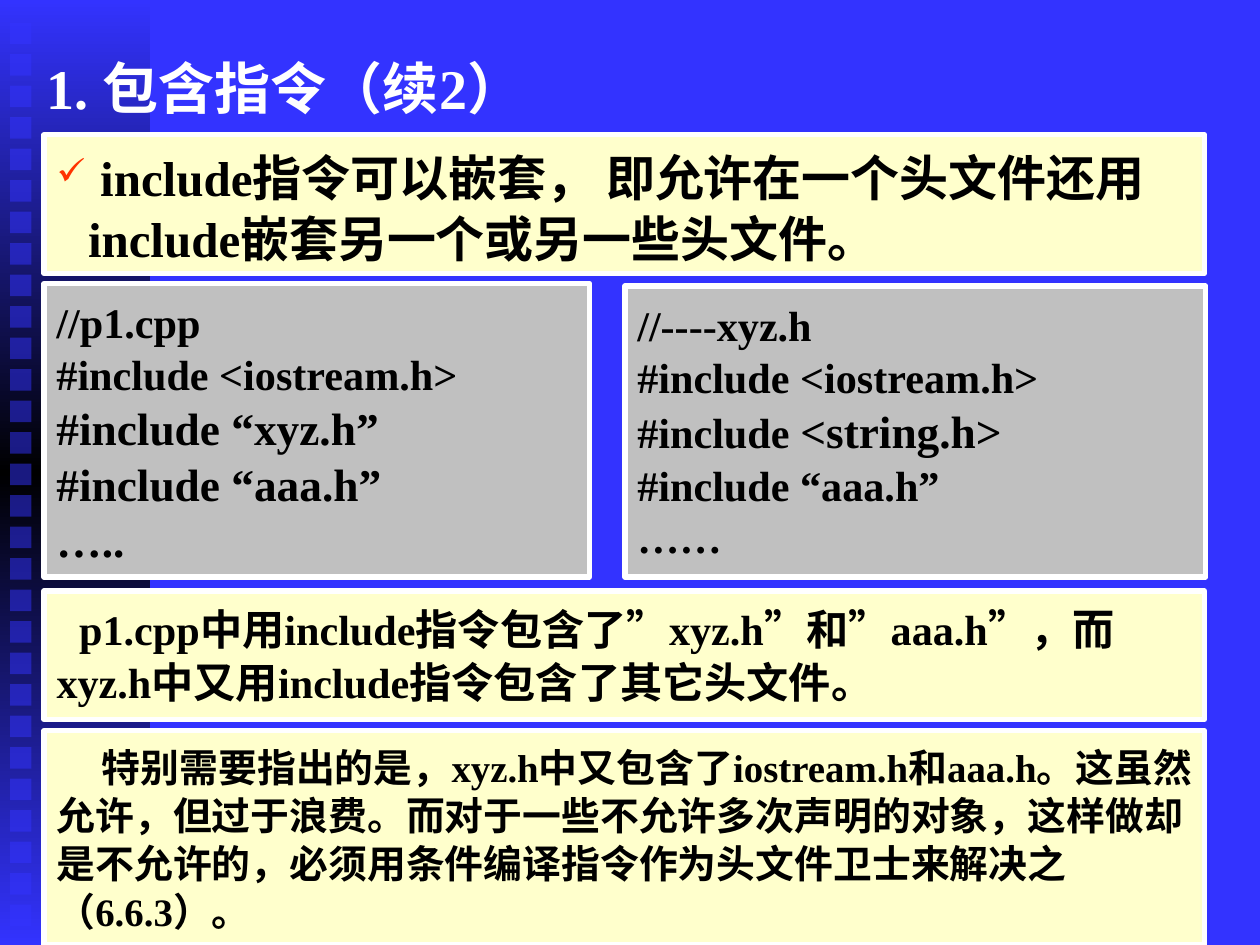
from lxml.etree import SubElement
from pptx import Presentation
from pptx.dml.color import RGBColor
from pptx.enum.shapes import MSO_SHAPE
from pptx.enum.text import MSO_ANCHOR, PP_ALIGN
from pptx.oxml.ns import qn
from pptx.util import Inches, Pt

COLORS = {
    "blue": "3333FF",
    "black": "000000",
    "white": "FFFFFF",
    "cream": "FFFFCC",
    "grey": "C0C0C0",
    "check": "FF3300",
}
FONT = "Times New Roman"
LEFT, WIDTH = 0.35, 9.21
SMALL, LARGE = 24.1, 25.9


def rgb(name):
    return RGBColor.from_string(COLORS[name])


def add_color(parent, name, alpha=None):
    clr = SubElement(parent, qn("a:srgbClr"), val=COLORS[name])
    if alpha is not None:
        SubElement(clr, qn("a:alpha"), val=str(alpha * 1000))


def format_run(r, size, color="black"):
    r.font.name = FONT
    r.font.size = Pt(size)
    r.font.bold = True
    r.font.color.rgb = rgb(color)


def add_rect(s, box, color):
    sp = s.shapes.add_shape(MSO_SHAPE.RECTANGLE, *map(Inches, box))
    sp.shadow.inherit = False
    sp.fill.solid()
    sp.fill.fore_color.rgb = rgb(color)
    sp.line.fill.background()
    return sp


def add_side_band(s, box):
    """Gradient band with a column of half-transparent squares."""
    left, top, _, height = box
    band = add_rect(s, box, "blue")
    band.fill.gradient()
    band.fill.gradient_angle = 270
    stops = band.element.spPr.find(qn("a:gradFill")).find(qn("a:gsLst"))
    for stop in list(stops):
        stops.remove(stop)
    for pos, name in ((0, "blue"), (50, "black"), (100, "blue")):
        add_color(SubElement(stops, qn("a:gs"), pos=str(pos * 1000)), name)

    size, pitch = 0.17, 0.25
    for i in range(int(height / pitch) - 1):
        square = add_rect(s, (left + 0.08, top + 0.18 + i * pitch, size, size), "blue")
        clr = square.element.spPr.find(qn("a:solidFill"))[0]
        SubElement(clr, qn("a:alpha"), val="50000")


def add_title(s, box, text):
    title = s.shapes.title
    title.left, title.top, title.width, title.height = map(Inches, box)
    # Bring the title in front of the band
    title.element.getparent().append(title.element)
    tf = title.text_frame
    tf.text = text
    tf.vertical_anchor = MSO_ANCHOR.MIDDLE
    p = tf.paragraphs[0]
    p.alignment = PP_ALIGN.LEFT
    format_run(p.runs[0], 32, "white")


def add_panel(s, box, color, lines):
    """Framed panel; each line is a list of (text, size) runs."""
    sp = add_rect(s, box, color)
    sp.line.color.rgb = rgb("white")
    sp.line.width = Pt(3)
    tf = sp.text_frame
    tf.word_wrap = True
    tf.vertical_anchor = MSO_ANCHOR.TOP
    tf.margin_left = tf.margin_right = Inches(0.1)
    tf.margin_top, tf.margin_bottom = Inches(0.09), Inches(0.05)
    for i, runs in enumerate(lines):
        p = tf.add_paragraph() if i else tf.paragraphs[0]
        p.alignment = PP_ALIGN.LEFT
        p.line_spacing = 1.03
        for text, size in runs:
            r = p.add_run()
            r.text = text
            format_run(r, size)
    return tf.paragraphs[0]


def add_check_panel(s, box, text):
    p = add_panel(s, box, "cream", [[(text, 28)]])
    pPr = p._p.get_or_add_pPr()
    pPr.set("marL", str(Inches(0.25)))
    pPr.set("indent", str(-Inches(0.25)))
    add_color(SubElement(pPr, qn("a:buClr")), "check")
    SubElement(pPr, qn("a:buSzPct"), val="75000")
    SubElement(pPr, qn("a:buChar"), char="✓")


def add_note_panel(s, box, text, size, indent):
    p = add_panel(s, box, "cream", [[(text, size)]])
    p._p.get_or_add_pPr().set("indent", str(Inches(indent)))


def main():
    prs = Presentation()
    prs.slide_width, prs.slide_height = Inches(10), Inches(7.5)
    s = prs.slides.add_slide(prs.slide_layouts[5])
    s.background.fill.solid()
    s.background.fill.fore_color.rgb = rgb("blue")

    add_side_band(s, (0, 0, 1.19, 7.5))
    add_title(s, (0.27, 0.28, 8.44, 0.82), "1. 包含指令（续2）")

    # Rule on nesting
    add_check_panel(
        s, (LEFT, 1.07, WIDTH, 1.1),
        " include指令可以嵌套， 即允许在一个头文件还用include嵌套另一个或另一些头文件。")

    # The two source files
    add_panel(s, (LEFT, 2.25, 4.33, 2.33), "grey", [
        [("//p1.cpp", SMALL)],
        [("#include <iostream.h>", SMALL)],
        [("#include “xyz.h”", LARGE)],
        [("#include “aaa.h”", LARGE)],
        [("…..", LARGE)],
    ])
    add_panel(s, (4.96, 2.27, 4.61, 2.31), "grey", [
        [("//----xyz.h", SMALL)],
        [("#include <iostream.h>", SMALL)],
        [("#include ", SMALL), ("<string.h>", LARGE)],
        [("#include “aaa.h”", SMALL)],
        [("……", SMALL)],
    ])

    # Explanations
    add_note_panel(
        s, (LEFT, 4.69, WIDTH, 1.02),
        "p1.cpp中用include指令包含了”xyz.h”和”aaa.h”，而xyz.h中又用include指令包含了其它头文件。",
        SMALL, 0.18)
    add_note_panel(
        s, (LEFT, 5.8, WIDTH, 1.7),
        "特别需要指出的是，xyz.h中又包含了iostream.h和aaa.h。这虽然允许，但过于浪费。"
        "而对于一些不允许多次声明的对象，这样做却是不允许的，"
        "必须用条件编译指令作为头文件卫士来解决之（6.6.3）。",
        22.2, 0.36)

    prs.save("out.pptx")


if __name__ == "__main__":
    main()
